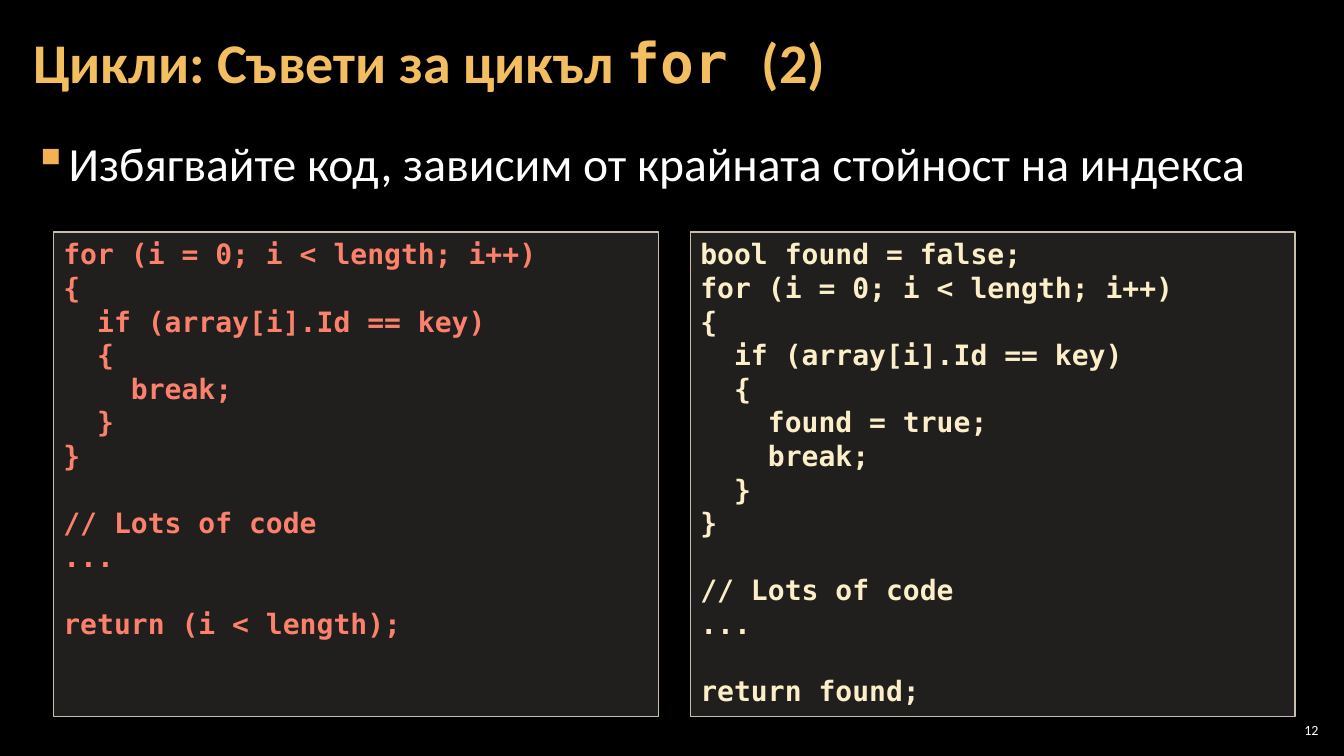
from dataclasses import dataclass

from lxml import etree
from pptx import Presentation
from pptx.dml.color import RGBColor
from pptx.enum import shapes, text
from pptx.oxml import ns
from pptx.util import Pt

SANS = "Calibri"
MONO = "DejaVu Sans Mono"

BLACK = RGBColor(0x00, 0x00, 0x00)
WHITE = RGBColor(0xFF, 0xFF, 0xFF)
GOLD = RGBColor(0xF3, 0xBE, 0x60)
BULLET = RGBColor(0xF2, 0xB2, 0x54)
PANEL = RGBColor(0xD9, 0xD5, 0xC7)
BORDER = RGBColor(0xC7, 0xBF, 0xAC)
CORAL = RGBColor(0xFB, 0x81, 0x6D)
CREAM = RGBColor(0xFB, 0xEE, 0xC9)

MARGIN_X, MARGIN_Y = 8.5, 2.8
CODE_TOP, CODE_WIDTH, CODE_HEIGHT = 165.6, 432, 346.3
CODE_LINE = 24

BAD_CODE = """for (i = 0; i < length; i++)
{
  if (array[i].Id == key)
  {
    break;
  }
}

// Lots of code
...

return (i < length);"""

GOOD_CODE = """bool found = false;
for (i = 0; i < length; i++)
{
  if (array[i].Id == key)
  {
    found = true;
    break;
  }
}

// Lots of code
...

return found;"""


@dataclass
class CodePanel:
    left: float
    code: str
    color: RGBColor


PANELS = [CodePanel(38.2, BAD_CODE, CORAL), CodePanel(493.2, GOOD_CODE, CREAM)]


def set_attrs(target, values: dict) -> None:
    for name, value in values.items():
        setattr(target, name, value)


def place(sp, left: float, top: float, width: float, height: float) -> None:
    set_attrs(sp, dict(left=Pt(left), top=Pt(top), width=Pt(width), height=Pt(height)))


def set_frame(tf, anchor, margin_x: float, margin_y: float) -> None:
    set_attrs(tf, dict(
        word_wrap=True, auto_size=text.MSO_AUTO_SIZE.NONE, vertical_anchor=anchor,
        margin_left=Pt(margin_x), margin_right=Pt(margin_x),
        margin_top=Pt(margin_y), margin_bottom=Pt(margin_y)))


def add_run(p, words: str, font: str, size: float, color: RGBColor, bold: bool = False) -> None:
    r = p.add_run()
    r.text = words
    set_attrs(r.font, dict(name=font, size=Pt(size), bold=bold))
    r.font.color.rgb = color


def add_bullet(p, char: str, color: RGBColor, indent: float) -> None:
    pPr = p._p.get_or_add_pPr()
    pPr.set("marL", str(Pt(indent)))
    pPr.set("indent", str(-Pt(indent)))
    clr = etree.SubElement(pPr, ns.qn("a:buClr"))
    etree.SubElement(clr, ns.qn("a:srgbClr"), val=str(color))
    etree.SubElement(pPr, ns.qn("a:buChar"), char=char)


def add_code_panel(s, panel: CodePanel) -> None:
    sp = s.shapes.add_shape(shapes.MSO_SHAPE.RECTANGLE, Pt(panel.left), Pt(CODE_TOP),
                            Pt(CODE_WIDTH), Pt(CODE_HEIGHT))
    sp.shadow.inherit = False
    sp.fill.solid()
    sp.fill.fore_color.rgb = PANEL
    fill_color = sp._element.spPr.find(ns.qn("a:solidFill"))[0]
    etree.SubElement(fill_color, ns.qn("a:alpha"), val="15000")
    sp.line.color.rgb = BORDER
    sp.line.width = Pt(1)

    tf = sp.text_frame
    set_frame(tf, text.MSO_ANCHOR.TOP, 7.2, 3.6)
    # A blank code line becomes space before the next block
    for b, block in enumerate(panel.code.split("\n\n")):
        for n, line in enumerate(block.split("\n")):
            p = tf.add_paragraph() if b or n else tf.paragraphs[0]
            p.alignment = text.PP_ALIGN.LEFT
            if b and not n:
                p.space_before = Pt(CODE_LINE)
            add_run(p, line, MONO, 20, panel.color, bold=True)


def main() -> None:
    prs = Presentation()
    prs.slide_width, prs.slide_height = Pt(960), Pt(540)
    s = prs.slides.add_slide(prs.slide_layouts[5])
    s.background.fill.solid()
    s.background.fill.fore_color.rgb = BLACK

    # Title
    title = s.shapes.title
    place(title, 15.1, 2.9, 929.5, 87.1)
    set_frame(title.text_frame, text.MSO_ANCHOR.MIDDLE, MARGIN_X, MARGIN_Y)
    p = title.text_frame.paragraphs[0]
    set_attrs(p, dict(alignment=text.PP_ALIGN.LEFT, line_spacing=0.9))
    for words, font in (("Цикли: Съвети за цикъл ", SANS), ("for ", MONO), ("(2)", SANS)):
        add_run(p, words, font, 40, GOLD, bold=True)

    # Advice
    advice = s.shapes.add_textbox(Pt(15.1), Pt(90.7), Pt(929.5), Pt(438.5))
    set_frame(advice.text_frame, text.MSO_ANCHOR.TOP, MARGIN_X, MARGIN_Y)
    p = advice.text_frame.paragraphs[0]
    add_bullet(p, "▪", BULLET, 24)
    set_attrs(p, dict(line_spacing=1.05, space_after=Pt(6)))
    add_run(p, "Избягвайте код, зависим от крайната стойност на индекса", SANS, 34, WHITE)

    # Code to avoid and code to prefer
    for panel in PANELS:
        add_code_panel(s, panel)

    # Slide number
    number = s.shapes.add_textbox(Pt(910.8), Pt(514.1), Pt(33.8), Pt(15.1))
    set_frame(number.text_frame, text.MSO_ANCHOR.MIDDLE, MARGIN_Y, MARGIN_Y)
    p = number.text_frame.paragraphs[0]
    p.alignment = text.PP_ALIGN.RIGHT
    add_run(p, "12", SANS, 10, WHITE)

    prs.save("out.pptx")


if __name__ == "__main__":
    main()
